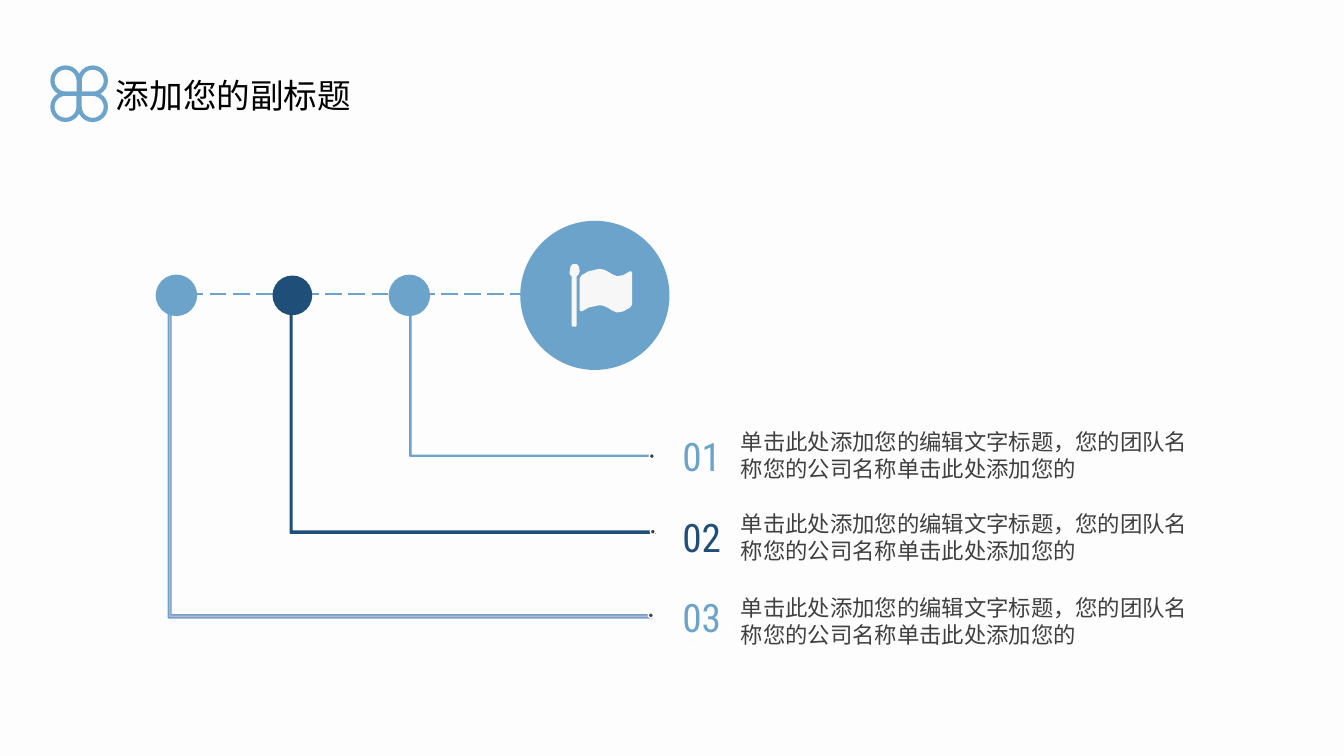
import pptx
import pptx.util
import pptx.dml.color
import pptx.enum.dml
import pptx.enum.shapes
import pptx.enum.text
import lxml.etree

PX = 9144
INK = {
    "sky": "6BA3CA", "navy": "1F4E79", "pink": "EFA9B4", "lilac": "CAAED1",
    "gray": "404040", "black": "000000", "white": "FFFFFF",
    "paper": "FDFDFD", "flag": "F7F7F7",
}
KIND = pptx.enum.shapes.MSO_SHAPE
HAN = "Noto Sans CJK SC"
NS = "http://schemas.openxmlformats.org/drawingml/2006/main"

deck = pptx.Presentation()
deck.slide_width = 1333 * PX
deck.slide_height = 750 * PX
slide = deck.slides.add_slide(deck.slide_layouts[5])
slide.background.fill.solid()
slide.background.fill.fore_color.rgb = pptx.dml.color.RGBColor.from_string(INK["paper"])


def paint(shape, fill, line, width=1):
    shape.shadow.inherit = False
    for name, part in ((fill, shape.fill), (line, shape.line.fill)):
        if name:
            part.solid()
            part.fore_color.rgb = pptx.dml.color.RGBColor.from_string(INK[name])
        else:
            part.background()
    if line:
        shape.line.width = pptx.util.Pt(width)
    return shape


def write(box, text, size, face, color):
    frame = box.text_frame
    frame.word_wrap = True
    frame.auto_size = pptx.enum.text.MSO_AUTO_SIZE.NONE
    frame.vertical_anchor = pptx.enum.text.MSO_ANCHOR.TOP
    para = frame.paragraphs[0]
    para.alignment = pptx.enum.text.PP_ALIGN.LEFT
    run = para.add_run()
    run.text = text
    run.font.size = pptx.util.Pt(size)
    run.font.name = face
    run.font.color.rgb = pptx.dml.color.RGBColor.from_string(INK[color])
    east = lxml.etree.SubElement(run.font._element, "{%s}ea" % NS)
    east.set("typeface", face)


title = slide.shapes.title
title.left, title.top, title.width, title.height = [n * PX for n in (105, 69, 272, 50)]
write(title, "添加您的副标题", 24, HAN, "black")

dash = slide.shapes.add_connector(
    pptx.enum.shapes.MSO_CONNECTOR.STRAIGHT, 162 * PX, 292 * PX, 554 * PX, 292 * PX)
dash.line.color.rgb = pptx.dml.color.RGBColor.from_string(INK["sky"])
dash.line.width = pptx.util.Pt(1.5)
dash.line.dash_style = pptx.enum.dml.MSO_LINE.LONG_DASH
lxml.etree.SubElement(dash._element.spPr, "{%s}effectLst" % NS)

disc = slide.shapes.add_shape(KIND.OVAL, 516 * PX, 219 * PX, 148 * PX, 148 * PX)
paint(disc, "sky", None)

for left, color, width in ((387, "sky", 2.25), (271, "navy", 1), (156, "sky", 2.25)):
    node = slide.shapes.add_shape(KIND.OVAL, left * PX, 274 * PX, 38 * PX, 38 * PX)
    paint(node, color, color, width)

elbows = (
    (455, 262, 142, 239, 0.007, 0.006, "pink", "sky"),
    (360, 239, 218, 362, 0.007, 0.01, "navy", "navy"),
    (256, 222, 302, 480, 0.009, 0.01, "lilac", "sky"),
)
for left, top, wide, high, arm, stem, fill, line in elbows:
    elbow = slide.shapes.add_shape(
        KIND.HALF_FRAME, left * PX, top * PX, wide * PX, high * PX)
    elbow.adjustments[0] = arm
    elbow.adjustments[1] = stem
    elbow.rotation = 270
    paint(elbow, fill, line)

items = (
    ("01", 58, "sky", 420, 644, 450),
    ("02", 67, "navy", 501, 645, 525),
    ("03", 82, "sky", 585, 643, 608),
)
for i, (label, wide, color, top, left, dot) in enumerate(items):
    ring = slide.shapes.add_shape(
        KIND.OVAL, 664 * PX, (422 + 80 * i) * PX, 61 * PX, 61 * PX)
    paint(ring, None, "white")
    number = slide.shapes.add_textbox(
        667 * PX, (424 + 80 * i) * PX, wide * PX, 57 * PX)
    write(number, label, 28, "Roboto Condensed", color)
    body = slide.shapes.add_textbox(725 * PX, top * PX, 484 * PX, 64 * PX)
    write(body, "单击此处添加您的编辑文字标题，您的团队名称您的公司名称单击此处添加您的",
          16, HAN, "gray")
    tip = slide.shapes.add_shape(KIND.OVAL, left * PX, dot * PX, 5 * PX, 5 * PX)
    paint(tip, "gray", "white")

pole = (
    (575, 269), (574, 272), (572, 274), (572, 323), (571, 324), (568, 324),
    (567, 323), (567, 274), (565, 272), (565, 269), (566, 264), (568, 262),
    (572, 262), (574, 264),
)
wave = (
    (577, 273), (584, 269), (589, 268), (593, 267), (597, 267), (600, 268),
    (604, 270), (607, 272), (612, 274), (618, 273), (625, 269),
)
cloth = wave + ((627, 270), (627, 302)) + tuple(
    (x, y + 36) for x, y in reversed(wave)) + ((575, 308), (575, 276))
pen = slide.shapes.build_freeform(*pole[0], scale=PX)
pen.add_line_segments(pole[1:])
pen.move_to(*cloth[0])
pen.add_line_segments(cloth[1:])
paint(pen.convert_to_shape(), "flag", None)

for left, top, turn in ((79, 67, 180), (52, 67, 90), (79, 93, 270), (52, 93, 0)):
    petal = slide.shapes.add_shape(KIND.TEAR, left * PX, top * PX, 26 * PX, 26 * PX)
    petal.rotation = turn
    paint(petal, None, "sky", 3)

deck.save("out.pptx")
